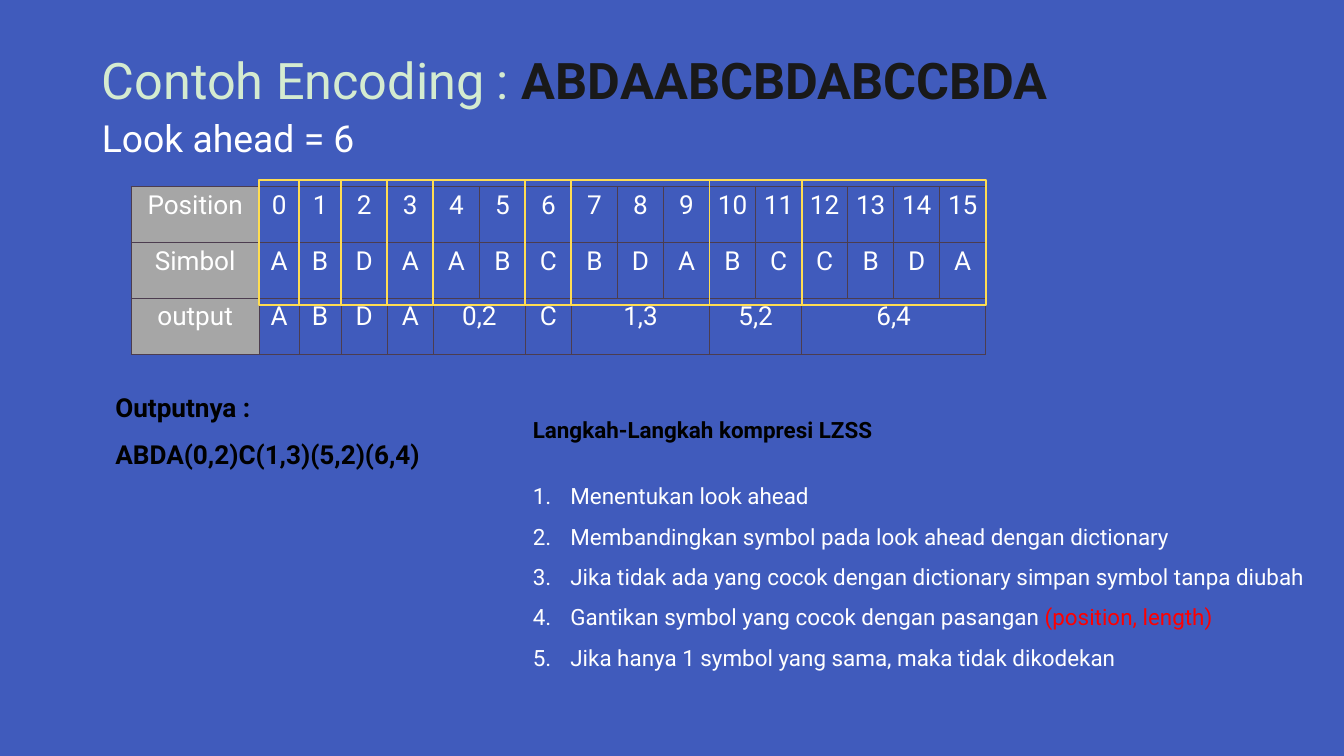
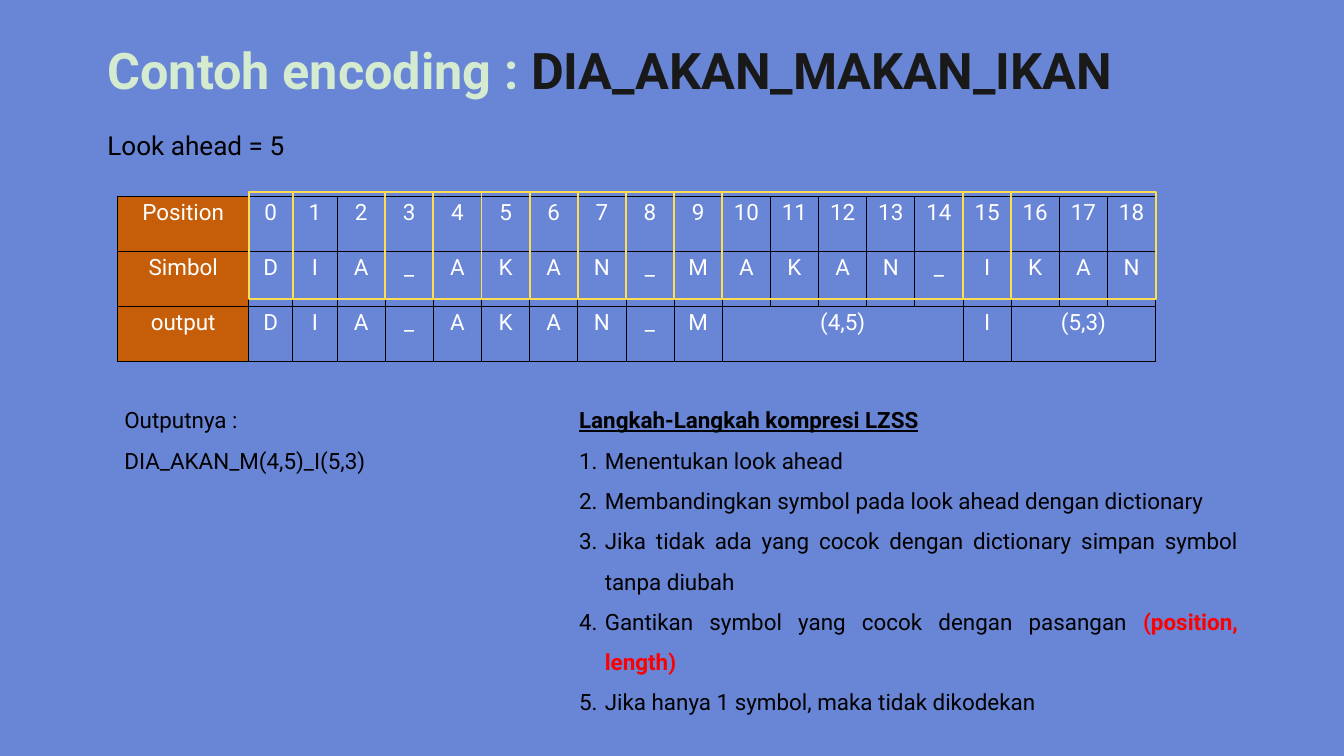
from lxml.etree import SubElement
from pptx import Presentation
from pptx.dml.color import RGBColor
from pptx.enum.shapes import MSO_SHAPE as SHAPE
from pptx.enum.text import MSO_AUTO_SIZE as AUTO, PP_ALIGN as ALIGN
from pptx.oxml.ns import qn
from pptx.util import Cm, Pt

FONT = "Roboto"
C = {
    "blue": "405BBC", "light_blue": "6985D6", "mint": "D4EBD0", "ink": "191919",
    "black": "000000", "white": "FFFFFF", "red": "FF0000", "yellow": "FFDD52",
    "grey": "A6A6A6", "orange": "C65E09", "plum": "4C3D4F",
}
STEPS_TITLE = "Langkah-Langkah kompresi LZSS"
STEPS = [
    "Menentukan look ahead",
    "Membandingkan symbol pada look ahead dengan dictionary",
    "Jika tidak ada yang cocok dengan dictionary simpan symbol tanpa diubah",
    "Gantikan symbol yang cocok dengan pasangan ",
]
PAIR = "(position, length)"


def rgb(name):
    return RGBColor.from_string(C[name])


def style(r, size, color, bold=False, underline=False):
    f = r.font
    f.name, f.size, f.bold, f.underline = FONT, Pt(size), bold, underline
    f.color.rgb = rgb(color)


def add_text(s, box, paras, size, spacing=None, align=None):
    """Each paragraph is a list of (text, colour, bold, underline) runs; the last two may be left out."""
    tf = s.shapes.add_textbox(*map(Cm, box)).text_frame
    tf.word_wrap = True
    tf.auto_size = AUTO.SHAPE_TO_FIT_TEXT
    for i, runs in enumerate(paras):
        p = tf.add_paragraph() if i else tf.paragraphs[0]
        p.line_spacing, p.alignment = spacing, align
        for text, *look in runs:
            r = p.add_run()
            r.text = text
            style(r, size, *look)
    return tf


def number(p, indent, color):
    pPr = p._p.get_or_add_pPr()
    pPr.set("marL", str(Cm(indent)))
    pPr.set("indent", str(-Cm(indent)))
    SubElement(SubElement(pPr, qn("a:buClr")), qn("a:srgbClr"), val=C[color])
    SubElement(pPr, qn("a:buFont"), typeface="+mj-lt")
    SubElement(pPr, qn("a:buAutoNum"), type="arabicPeriod")


def add_heading(s, box, label, word, bold):
    add_text(s, box, [[(label, "mint", bold), (word, "ink", True)]], 54)


def add_steps(s, box, last, color, indent, pair_bold=False, underline=False, align=None):
    steps = [[(text, color)] for text in STEPS + [last]]
    steps[3].append((PAIR, "red", pair_bold))
    title = [(STEPS_TITLE, "black", True, underline)]
    tf = add_text(s, box, [title] + steps, 24, 1.5, align)
    tf.paragraphs[0].alignment = None
    for p in tf.paragraphs[1:]:
        number(p, indent, color)
    return tf


def set_cell(cell, text, size, border, fill=None):
    tcPr = cell._tc.get_or_add_tcPr()
    for side in ("a:lnL", "a:lnR", "a:lnT", "a:lnB"):
        ln = SubElement(tcPr, qn(side), w=str(Pt(1)))
        SubElement(SubElement(ln, qn("a:solidFill")), qn("a:srgbClr"), val=C[border])
    if fill:
        cell.fill.solid()
        cell.fill.fore_color.rgb = rgb(fill)
    else:
        cell.fill.background()
    p = cell.text_frame.paragraphs[0]
    p.text = text
    p.alignment = ALIGN.CENTER
    for r in p.runs:
        style(r, size, "white")


def match_length(token):
    """A (position, length) pair covers as many symbols as its length."""
    return int(token.strip("()").split(",")[1]) if "," in token else 1


def add_encoding(s, left, top, widths, row_height, word, output, size, border, fill):
    tokens = []
    for token in output.split():
        tokens += [token] + [""] * (match_length(token) - 1)
    rows = [
        ["Position", *map(str, range(len(word)))],
        ["Simbol", *word],
        ["output", *tokens],
    ]
    frame = s.shapes.add_table(3, len(widths), Cm(left), Cm(top),
                               Cm(sum(widths)), Cm(3 * row_height))
    t = frame.table
    t.first_row = t.horz_banding = False
    for col, width in zip(t.columns, widths):
        col.width = Cm(width)
    for i, texts in enumerate(rows):
        t.rows[i].height = Cm(row_height)
        for j, text in enumerate(texts):
            set_cell(t.cell(i, j), text, size, border, None if j else fill)
    for j, token in enumerate(tokens, 1):
        if match_length(token) > 1:
            t.cell(2, j).merge(t.cell(2, j + match_length(token) - 1))
    return frame


def add_windows(s, frame, spans, rise, height):
    """Outline the symbols from first to last position of each span."""
    widths = [col.width for col in frame.table.columns]
    for first, last in spans:
        x = frame.left + sum(widths[:first + 1])
        sp = s.shapes.add_shape(SHAPE.RECTANGLE, x, frame.top - Cm(rise),
                                sum(widths[first + 1:last + 2]), Cm(height))
        sp.shadow.inherit = False
        sp.fill.background()
        sp.line.color.rgb = rgb("yellow")
        sp.line.width = Pt(2)


def new_slide(prs, color):
    s = prs.slides.add_slide(prs.slide_layouts[6])
    s.background.fill.solid()
    s.background.fill.fore_color.rgb = rgb(color)
    return s


def build_look_ahead_6(prs):
    s = new_slide(prs, "blue")
    word = "ABDAABCBDABCCBDA"
    add_heading(s, (3.6, 1.73, 41.48, 2.57), "Contoh Encoding : ", word, False)
    add_text(s, (3.6, 4.24, 25.4, 1.96), [[("Look ahead = 6", "white")]], 40)
    frame = add_encoding(s, 4.95, 7.06, [4.85, 1.5, 1.6] + [1.74] * 14, 2.11, word,
                         "A B D A 0,2 C 1,3 5,2 6,4", 28, "plum", "grey")
    add_windows(s, frame, [(1, 5), (0, 3), (2, 6), (3, 9), (7, 11), (10, 15)], 0.25, 4.72)
    add_text(s, (4.11, 14.07, 25.4, 3.63),
             [[("Outputnya :", "black", True)],
              [("ABDA(0,2)C(1,3)(5,2)(6,4)", "black", True)]], 28, 1.5)
    tf = add_steps(s, (19.89, 15.6, 31.88, 11.02),
                   "Jika hanya 1 symbol yang sama, maka tidak dikodekan", "white", 1.42)
    tf.paragraphs[0].line_spacing = 1.0
    tf.paragraphs[1].space_before = Pt(28)


def build_look_ahead_5(prs):
    s = new_slide(prs, "light_blue")
    word = "DIA_AKAN_MAKAN_IKAN"
    add_heading(s, (3.81, 1.37, 43.18, 2.57), "Contoh encoding : ", word, True)
    add_text(s, (3.81, 4.78, 25.4, 1.45), [[("Look ahead = 5", "black")]], 28)
    frame = add_encoding(s, 4.45, 7.42, [4.95] + [1.67] * 2 + [1.82] * 17, 2.08, word,
                         "D I A _ A K A N _ M (4,5) I (5,3)", 24, "black", "orange")
    add_text(s, (4.45, 14.73, 25.4, 3.15),
             [[("Outputnya :", "black")], [("DIA_AKAN_M(4,5)_I(5,3)", "black")]],
             24, 1.5, ALIGN.JUSTIFY)
    add_steps(s, (21.64, 14.73, 25.4, 12.37), "Jika hanya 1 symbol, maka tidak dikodekan",
              "black", 0.97, True, True, ALIGN.JUSTIFY)
    add_windows(s, frame, [(0, 2), (1, 3), (4, 6), (5, 5), (7, 14), (8, 8), (5, 8),
                           (10, 14), (15, 18), (15, 15)], 0.15, 4.04)


def main():
    prs = Presentation()
    prs.slide_width, prs.slide_height = Cm(50.8), Cm(28.58)
    build_look_ahead_6(prs)
    build_look_ahead_5(prs)
    prs.save("out.pptx")


if __name__ == "__main__":
    main()
